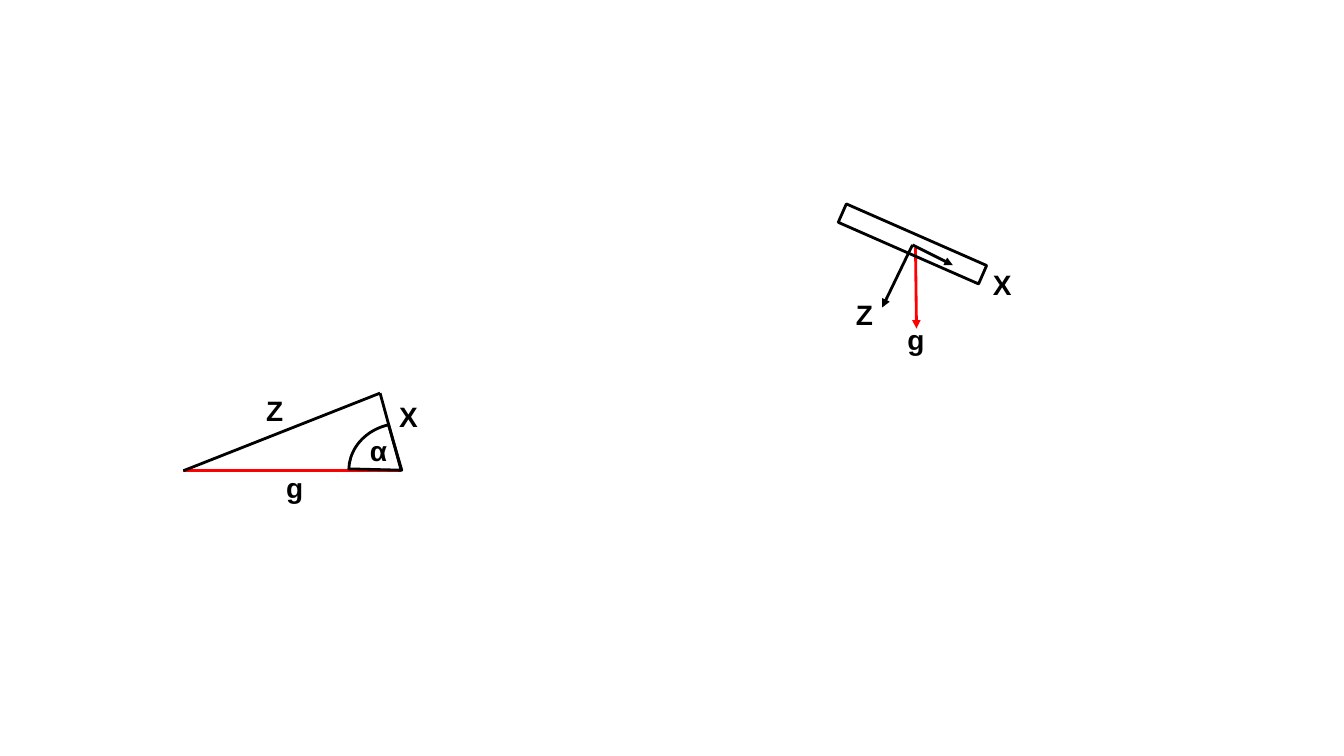
from lxml.etree import SubElement
from pptx import Presentation
from pptx.dml.color import RGBColor
from pptx.enum.shapes import MSO_CONNECTOR, MSO_SHAPE
from pptx.enum.text import MSO_AUTO_SIZE
from pptx.oxml.ns import qn
from pptx.util import Inches, Pt

BLACK = RGBColor(0x00, 0x00, 0x00)
RED = RGBColor(0xFF, 0x00, 0x00)


def add_line(group, start, end, color, arrow=False):
    x1, y1, x2, y2 = [Inches(v) for v in start + end]
    line = group.shapes.add_connector(MSO_CONNECTOR.STRAIGHT, x1, y1, x2, y2)
    line.line.color.rgb = color
    line.line.width = Pt(2)
    if arrow:
        SubElement(line.line._get_or_add_ln(), qn("a:tailEnd"), type="triangle")
    SubElement(line._element.spPr, qn("a:effectLst"))


def add_label(group, text, left, top):
    box = group.shapes.add_textbox(Inches(left), Inches(top), Inches(0.72), Inches(0.44))
    tf = box.text_frame
    tf.word_wrap = True
    tf.auto_size = MSO_AUTO_SIZE.SHAPE_TO_FIT_TEXT
    r = tf.paragraphs[0].add_run()
    r.text = text
    r.font.name = "Arial"
    r.font.size = Pt(20)
    r.font.bold = True
    r.font.color.rgb = BLACK


prs = Presentation()
prs.slide_width = Inches(13.33)
prs.slide_height = Inches(7.5)
s = prs.slides.add_slide(prs.slide_layouts[6])

board = s.shapes.add_group_shape()
origin = (9.05, 2.43)
add_line(board, (9.08, 2.46), (9.09, 3.26), RED, arrow=True)
add_line(board, origin, (8.75, 3.05), BLACK, arrow=True)
add_line(board, origin, (9.45, 2.63), BLACK, arrow=True)
plate = board.shapes.add_shape(
    MSO_SHAPE.RECTANGLE, Inches(8.29), Inches(2.32), Inches(1.52), Inches(0.2))
plate.rotation = 23.7
for text, left, top in [("g", 8.9, 3.15), ("X", 9.75, 2.6), ("Z", 8.39, 2.9)]:
    add_label(board, text, left, top)

triangle = s.shapes.add_group_shape()
left_corner, right_corner, apex = (1.82, 4.67), (3.98, 4.67), (3.77, 3.9)
add_line(triangle, left_corner, right_corner, RED)
add_line(triangle, left_corner, apex, BLACK)
add_line(triangle, right_corner, apex, BLACK)
angle = triangle.shapes.add_shape(
    MSO_SHAPE.PIE, Inches(3.46), Inches(4.2), Inches(1.05), Inches(0.93))
angle.adjustments[0] = 108.838
angle.adjustments[1] = 152.268
for text, left, top in [("Z", 2.54, 3.85), ("g", 2.74, 4.62),
                        ("X", 3.86, 3.91), ("α", 3.57, 4.25)]:
    add_label(triangle, text, left, top)

for sp in (plate, angle):
    sp.shadow.inherit = False
    sp.fill.background()
    sp.line.color.rgb = BLACK
    sp.line.width = Pt(2)

prs.save("out.pptx")
